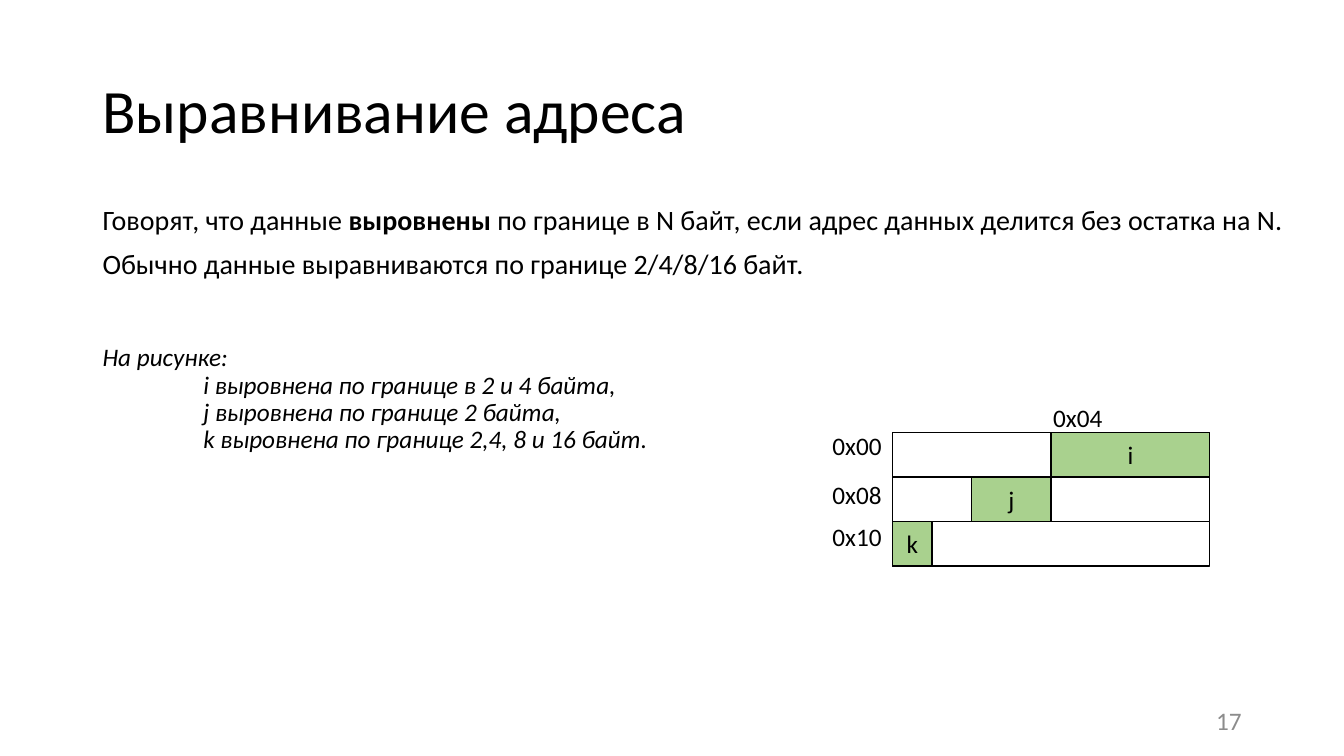
import pptx
import pptx.dml.color
import pptx.enum.shapes
import pptx.enum.text
import pptx.util
from pptx.util import Cm

BLACK = pptx.dml.color.RGBColor(0x00, 0x00, 0x00)
WHITE = pptx.dml.color.RGBColor(0xFF, 0xFF, 0xFF)
GREEN = pptx.dml.color.RGBColor(0xA9, 0xD1, 0x8E)
GRAY = pptx.dml.color.RGBColor(0x8C, 0x8C, 0x8C)
ALIGN = pptx.enum.text.PP_ALIGN
ANCHOR = pptx.enum.text.MSO_ANCHOR
AUTO_SIZE = pptx.enum.text.MSO_AUTO_SIZE

BYTES_PER_ROW = 8
ROW_HEIGHT = 1.12
ADDRESSES = [("0x00", -0.18), ("0x08", -0.07), ("0x10", -0.14)]
VARIABLES = [("i", 0, 4, 4), ("j", 1, 2, 2), ("k", 2, 0, 1)]


def set_font(para, size, color=BLACK):
    """Format the font of a whole paragraph."""
    para.font.name = "Calibri"
    para.font.size = pptx.util.Pt(size)
    para.font.color.rgb = color


def place(shape, left, top, width, height):
    """Move a placeholder to a box given in centimetres."""
    shape.left, shape.top = Cm(left), Cm(top)
    shape.width, shape.height = Cm(width), Cm(height)
    shape.text_frame.auto_size = AUTO_SIZE.NONE


def add_title(page, left, top, width, height):
    """Fill the title placeholder."""
    title = page.shapes.title
    place(title, left, top, width, height)
    title.text_frame.vertical_anchor = ANCHOR.MIDDLE
    para = title.text_frame.paragraphs[0]
    para.text = "Выравнивание адреса"
    para.alignment = ALIGN.LEFT
    para.line_spacing = 0.9
    set_font(para, 44)


def add_explanation(page, left, top, width, height):
    """Fill the body placeholder with the definition and the remarks on the figure."""
    body = page.placeholders[1]
    place(body, left, top, width, height)
    frame = body.text_frame
    definition = frame.paragraphs[0]
    for text, bold in [
        ("Говорят, что данные ", False),
        ("выровнены", True),
        (" по границе в N байт, если адрес данных делится без остатка на N.", False),
    ]:
        span = definition.add_run()
        span.text = text
        span.font.bold = bold
    usual = frame.add_paragraph()
    usual.text = "Обычно данные выравниваются по границе 2/4/8/16 байт."
    remarks = frame.add_paragraph()
    remarks.text = "\v\t".join([
        "На рисунке: ",
        "i выровнена по границе в 2 и 4 байта,",
        "j выровнена по границе 2 байта,",
        "k выровнена по границе 2,4, 8 и 16 байт.",
    ])
    remarks.font.italic = True
    for para, size, space in [(definition, 20, 10), (usual, 20, 10), (remarks, 18, 46)]:
        set_font(para, size)
        para.line_spacing = 0.9
        para.space_before = pptx.util.Pt(space)
        properties = para._p.get_or_add_pPr()
        properties.set("marL", "0")
        properties.set("indent", "0")
        properties.set("defTabSz", str(Cm(2.54)))
        drawing = "http://schemas.openxmlformats.org/drawingml/2006/main"
        properties.insert_element_before(
            pptx.oxml.parse_xml(f'<a:buNone xmlns:a="{drawing}"/>'),
            "a:tabLst", "a:defRPr", "a:extLst",
        )
        properties.insert_element_before(
            pptx.oxml.parse_xml(
                f'<a:tabLst xmlns:a="{drawing}"><a:tab pos="{Cm(2.54)}" algn="l"/></a:tabLst>'
            ),
            "a:defRPr", "a:extLst",
        )


def add_label(page, text, left, top):
    """Add an address label."""
    box = page.shapes.add_textbox(Cm(left), Cm(top), Cm(1.75), Cm(1.02))
    box.text_frame.word_wrap = False
    box.text_frame.auto_size = AUTO_SIZE.SHAPE_TO_FIT_TEXT
    para = box.text_frame.paragraphs[0]
    para.text = text
    set_font(para, 18)


def add_cell(page, left, top, width, color, text=""):
    """Add an outlined stretch of memory, with a variable name if there is one."""
    cell = page.shapes.add_shape(
        pptx.enum.shapes.MSO_SHAPE.RECTANGLE, Cm(left), Cm(top), Cm(width), Cm(ROW_HEIGHT)
    )
    cell.shadow.inherit = False
    cell.fill.solid()
    cell.fill.fore_color.rgb = color
    cell.line.color.rgb = BLACK
    cell.line.width = pptx.util.Pt(1)
    if text:
        cell.text_frame.vertical_anchor = ANCHOR.MIDDLE
        para = cell.text_frame.paragraphs[0]
        para.text = text
        para.alignment = ALIGN.CENTER
        set_font(para, 18)


def add_memory(page, left, top, width):
    """Draw the memory rows, their addresses and the variables in them."""
    byte_width = width / BYTES_PER_ROW
    for row, (address, shift) in enumerate(ADDRESSES):
        row_top = top + row * ROW_HEIGHT
        add_cell(page, left, row_top, width, WHITE)
        add_label(page, address, left - 1.76, row_top + shift)
    for name, row, first_byte, size in VARIABLES:
        add_cell(page, left + first_byte * byte_width, top + row * ROW_HEIGHT,
                 size * byte_width, GREEN, name)
    add_label(page, "0x04", left + 3.8, top - 0.89)


def add_page_number(page, left, top, width, height):
    """Add the page number."""
    box = page.shapes.add_textbox(Cm(left), Cm(top), Cm(width), Cm(height))
    box.text_frame.word_wrap = True
    box.text_frame.vertical_anchor = ANCHOR.MIDDLE
    para = box.text_frame.paragraphs[0]
    para.text = "17"
    para.alignment = ALIGN.RIGHT
    set_font(para, 18, GRAY)


def main():
    """Build and save the deck."""
    deck = pptx.Presentation()
    deck.slide_width, deck.slide_height = Cm(33.87), Cm(19.05)
    page = deck.slides.add_slide(deck.slide_layouts[1])
    add_title(page, 2.33, 1.01, 29.21, 3.68)
    add_explanation(page, 2.33, 5.07, 30.66, 12.09)
    add_page_number(page, 23.92, 17.66, 7.62, 1.01)
    add_memory(page, 22.49, 10.9, 8)
    deck.save("out.pptx")


if __name__ == "__main__":
    main()
